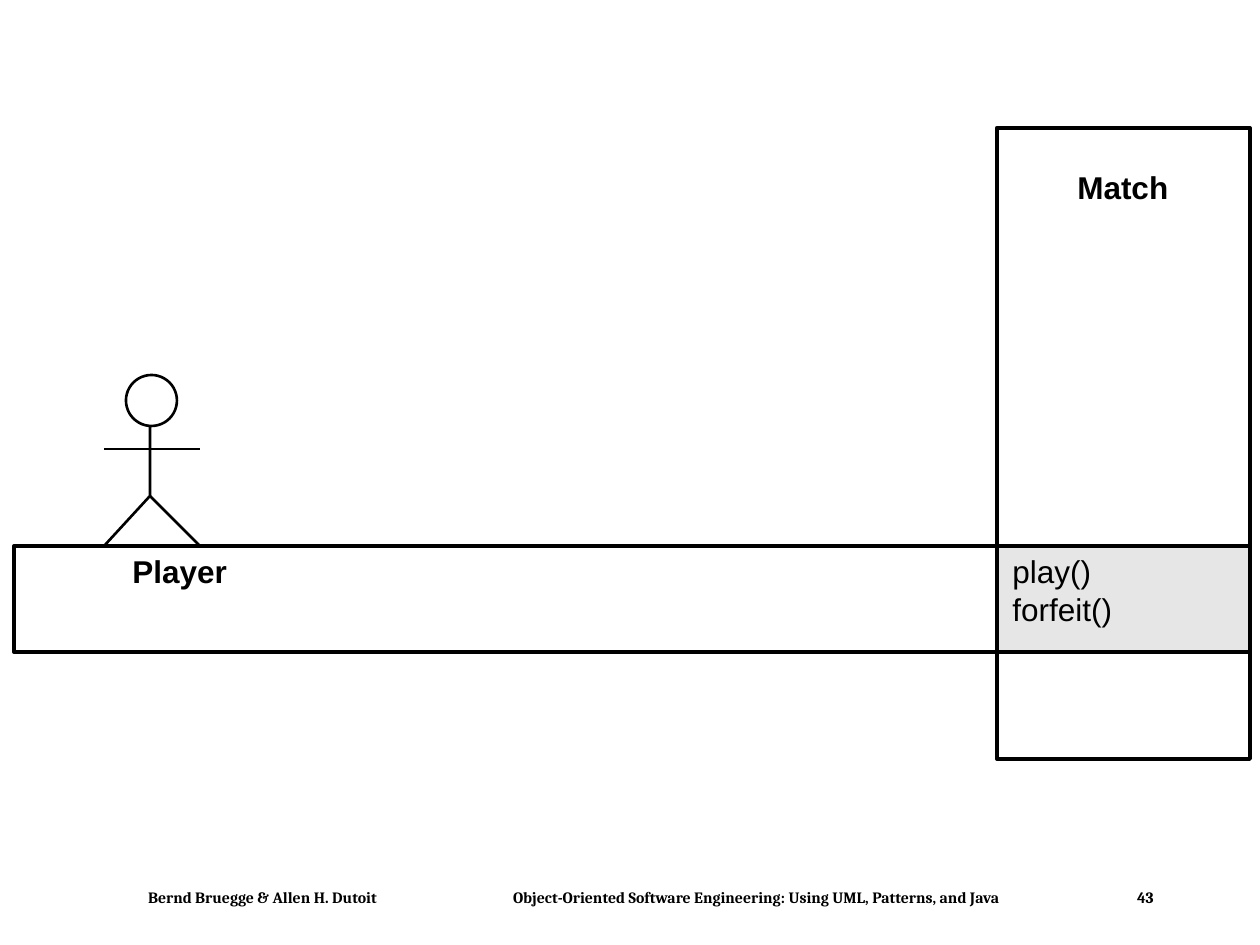
from lxml import etree
from pptx import Presentation
from pptx import util as u
from pptx.dml.color import RGBColor
from pptx.enum import shapes, text
from pptx.oxml.ns import qn

BLACK = RGBColor(0, 0, 0)
WHITE = RGBColor(255, 255, 255)
GRAY = RGBColor(0xE6, 0xE6, 0xE6)
SCALE = 914400 / 126


def px(n):
    return u.Emu(round(n * SCALE))


def style(sp, fill=None, line=None):
    sp.shadow.inherit = False
    if fill is None:
        sp.fill.background()
    else:
        sp.fill.solid()
        sp.fill.fore_color.rgb = fill
    if line is None:
        sp.line.fill.background()
    else:
        sp.line.color.rgb = BLACK
        sp.line.width = u.Pt(line)


def add_box(sl, kind, x, y, w, h, fill=None, line=None):
    sp = sl.shapes.add_shape(kind, px(x), px(y), px(w), px(h))
    style(sp, fill, line)


def add_line(sl, x1, y1, x2, y2):
    c = sl.shapes.add_connector(shapes.MSO_CONNECTOR.STRAIGHT, px(x1), px(y1), px(x2), px(y2))
    c.line.color.rgb = BLACK
    c.line.width = u.Pt(1.5)
    etree.SubElement(c._element.spPr, qn("a:effectLst"))


def add_text(sl, x, y, w, h, words, size=18, name="Arial", bold=True, wrap=False):
    tf = sl.shapes.add_textbox(px(x), px(y), px(w), px(h)).text_frame
    tf.word_wrap = wrap
    p = tf.paragraphs[0]
    p.text = words
    p.font.size = u.Pt(size)
    p.font.name = name
    p.font.bold = bold
    p.font.color.rgb = BLACK
    return tf


def add_matrix(sl, x, y, w, h, col_w, row_y, row_h):
    rect = shapes.MSO_SHAPE.RECTANGLE
    col_x, top = x + w - col_w, y + row_y
    add_box(sl, rect, col_x, top, col_w, row_h, fill=GRAY)
    add_text(sl, x + 106, top, 120, 50, "Player")
    add_text(sl, col_x + 68, y + 34, 116, 50, "Match")
    add_text(sl, col_x + 3, top, 125, 88, "play()\vforfeit()", bold=False)
    add_box(sl, rect, x, top, w, row_h, line=2.25)
    add_box(sl, rect, col_x, y, col_w, h, line=2.25)


def add_actor(sl, x, y, w, h):
    mid, hip, foot = x + 46, y + 121, y + h
    fb = sl.shapes.build_freeform(px(mid), px(y + 35))
    fb.add_line_segments([(px(mid), px(hip)), (px(x), px(foot))], close=False)
    style(fb.convert_to_shape(), line=1.5)
    add_line(sl, mid, hip, x + w, foot)
    add_line(sl, x, y + 74, x + w, y + 74)
    add_box(sl, shapes.MSO_SHAPE.OVAL, x + 22, y, 51, 51, fill=WHITE, line=1.5)


def add_footer(sl, x, y, w, h):
    parts = ["Bernd Bruegge & Allen H. Dutoit",
             "Object-Oriented Software Engineering: Using UML, Patterns, and Java", "43"]
    tf = add_text(sl, x, y, w, h, "\t".join(parts), 9, "Cambria", wrap=True)
    tf.margin_left = px(75)
    tf.auto_size = text.MSO_AUTO_SIZE.NONE
    pPr = tf.paragraphs[0]._p.get_or_add_pPr()
    tabs = etree.Element(qn("a:tabLst"))
    for pos in (365, 989):
        etree.SubElement(tabs, qn("a:tab"), pos=str(px(pos)), algn="l")
    pPr.insert(0, tabs)


def main():
    prs = Presentation()
    prs.slide_width, prs.slide_height = px(1260), px(945)
    sl = prs.slides.add_slide(prs.slide_layouts[6])
    add_footer(sl, 73, 882, 1155, 32)
    add_matrix(sl, 14, 128, 1236, 631, col_w=253, row_y=418, row_h=106)
    add_actor(sl, 104, 375, 96, 171)
    prs.save("out.pptx")


if __name__ == "__main__":
    main()
